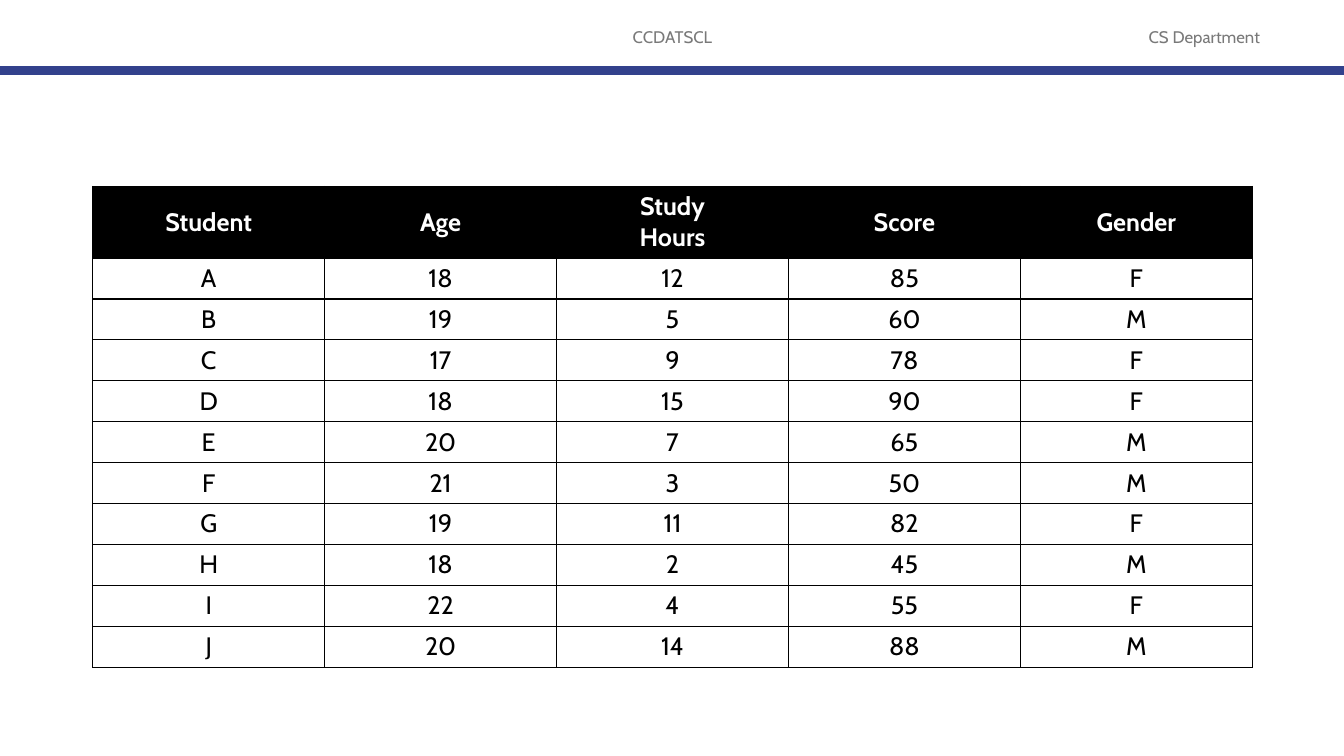
import pptx
import pptx.dml.color
import pptx.enum.shapes
import pptx.enum.text
import pptx.oxml
import pptx.oxml.ns
import pptx.util
from pptx.util import Inches

BLACK = pptx.dml.color.RGBColor(0x00, 0x00, 0x00)
WHITE = pptx.dml.color.RGBColor(0xFF, 0xFF, 0xFF)
GRAY = pptx.dml.color.RGBColor(0x79, 0x79, 0x79)
BLUE = pptx.dml.color.RGBColor(0x32, 0x41, 0x8C)

HEADERS = ["Student", "Age", "Study\nHours", "Score", "Gender"]
STUDENTS = [
    ("A", 18, 12, 85, "F"),
    ("B", 19, 5, 60, "M"),
    ("C", 17, 9, 78, "F"),
    ("D", 18, 15, 90, "F"),
    ("E", 20, 7, 65, "M"),
    ("F", 21, 3, 50, "M"),
    ("G", 19, 11, 82, "F"),
    ("H", 18, 2, 45, "M"),
    ("I", 22, 4, 55, "F"),
    ("J", 20, 14, 88, "M"),
]


class SlideBuilder:
    font = "Cabin"

    def __init__(self, slide):
        self.slide = slide

    def set_text(self, tf, text, size, color, bold=False):
        tf.text = text
        for p in tf.paragraphs:
            p.alignment = pptx.enum.text.PP_ALIGN.CENTER
            for r in p.runs:
                r.font.name = self.font
                r.font.size = pptx.util.Pt(size)
                r.font.bold = bold
                r.font.color.rgb = color

    def label(self, text, left, top, width, height):
        sp = self.slide.shapes.add_textbox(
            Inches(left), Inches(top), Inches(width), Inches(height))
        tf = sp.text_frame
        tf.word_wrap = True
        tf.vertical_anchor = pptx.enum.text.MSO_ANCHOR.MIDDLE
        self.set_text(tf, text, 12, GRAY)

    def rule(self, top, width, weight):
        line = self.slide.shapes.add_connector(
            pptx.enum.shapes.MSO_CONNECTOR.STRAIGHT,
            0, Inches(top), Inches(width), Inches(top))
        line.line.color.rgb = BLUE
        line.line.width = pptx.util.Pt(weight)
        line._element.spPr.append(pptx.oxml.parse_xml(
            f'<a:effectLst {pptx.oxml.ns.nsdecls("a")}/>'))

    def border(self, cell, color, weight):
        tcPr = cell._tc.get_or_add_tcPr()
        for side in ("lnL", "lnR", "lnT", "lnB"):
            tcPr.append(pptx.oxml.parse_xml(
                f'<a:{side} {pptx.oxml.ns.nsdecls("a")} w="{pptx.util.Pt(weight)}">'
                f'<a:solidFill><a:srgbClr val="{color}"/></a:solidFill></a:{side}>'))

    def table(self, rows, left, top, width, height, header_height):
        row_height = (height - header_height) / (len(rows) - 1)
        tbl = self.slide.shapes.add_table(
            len(rows), len(rows[0]), Inches(left), Inches(top),
            Inches(width), Inches(height)).table
        tbl.horz_banding = False
        for i, values in enumerate(rows):
            header = i == 0
            tbl.rows[i].height = Inches(header_height if header else row_height)
            for j, value in enumerate(values):
                cell = tbl.cell(i, j)
                cell.vertical_anchor = pptx.enum.text.MSO_ANCHOR.MIDDLE
                self.border(cell, BLACK, 1)
                if header:
                    cell.fill.solid()
                    cell.fill.fore_color.rgb = BLACK
                else:
                    cell.fill.background()
                self.set_text(cell.text_frame, str(value), 18,
                              WHITE if header else BLACK, header)


def main():
    prs = pptx.Presentation()
    prs.slide_width = Inches(13.33)
    prs.slide_height = Inches(7.5)
    s = SlideBuilder(prs.slides.add_slide(prs.slide_layouts[6]))
    s.label("CCDATSCL", 4.42, 0.17, 4.5, 0.4)
    s.label("CS Department", 10.92, 0.17, 2.05, 0.4)
    s.rule(0.7, 13.33, 6)
    s.table([HEADERS] + STUDENTS, 0.92, 1.85, 11.5, 4.77, 0.71)
    prs.save("out.pptx")


if __name__ == "__main__":
    main()
